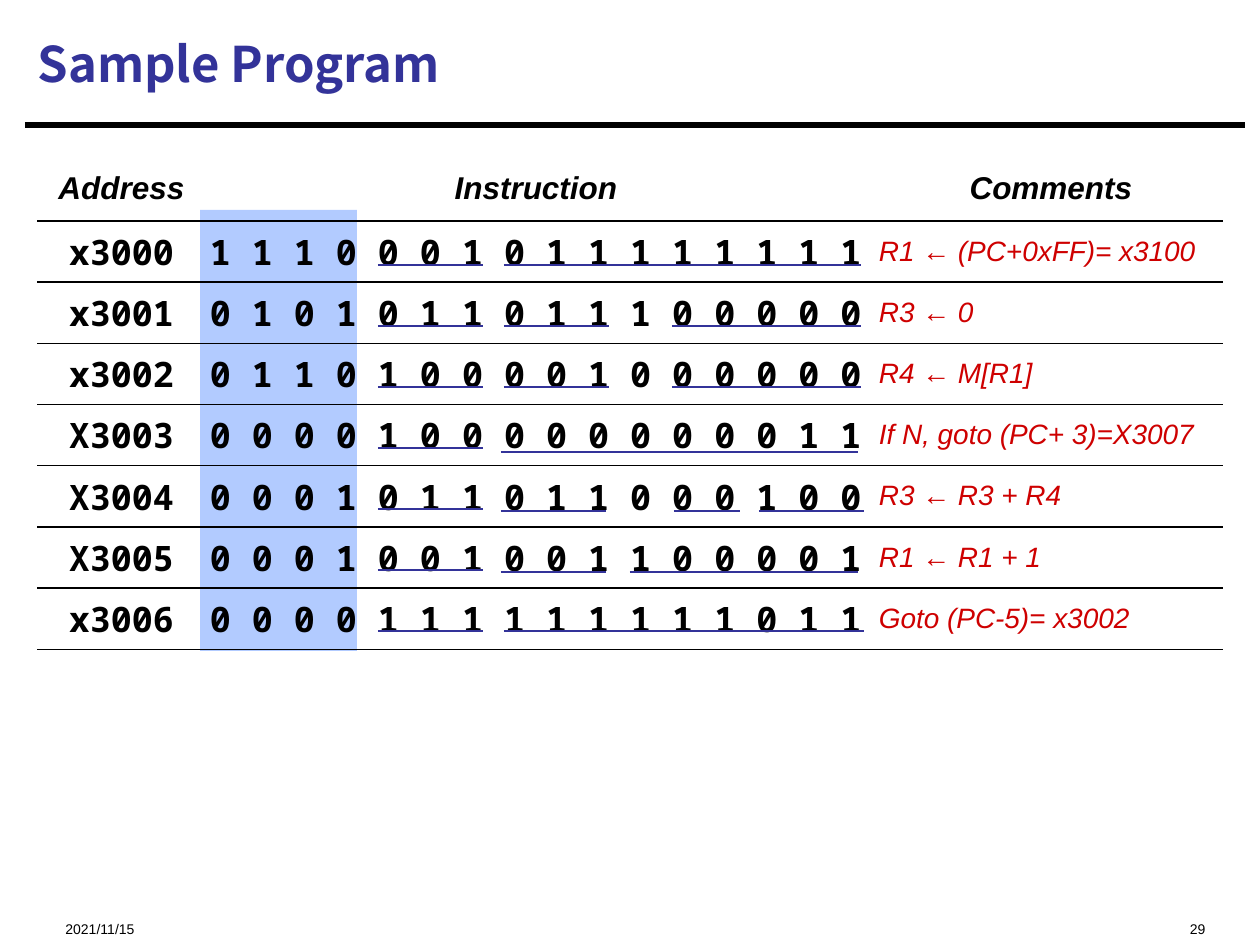
"""Builds the Sample Program slide: a machine code table with its bit fields marked."""
from lxml.etree import SubElement
from pptx import Presentation
from pptx.dml.color import RGBColor
from pptx.enum.shapes import MSO_CONNECTOR as Conn, MSO_SHAPE as Shape
from pptx.enum.text import MSO_ANCHOR as Anchor, PP_ALIGN as Align
from pptx.oxml import parse_xml
from pptx.oxml.ns import nsdecls, qn
from pptx.util import Pt

PX = 914400 // 126
COLORS = {"ink": "000000", "title": "333399", "note": "CE0000", "band": "6699FF"}
PLAIN = "{2D5ABB26-0587-4C30-8999-92F81FD0307C}"
HEADS = ["Address", "Instruction", "Comments"]
CODE = [
    ("x3000", "1 1 1 0 0 0 1 0 1 1 1 1 1 1 1 1", "R1 ← (PC+0xFF)= x3100"),
    ("x3001", "0 1 0 1 0 1 1 0 1 1 1 0 0 0 0 0", "R3 ← 0"),
    ("x3002", "0 1 1 0 1 0 0 0 0 1 0 0 0 0 0 0", "R4 ← M[R1]"),
    ("X3003", "0 0 0 0 1 0 0 0 0 0 0 0 0 0 1 1", "If N, goto (PC+ 3)=X3007"),
    ("X3004", "0 0 0 1 0 1 1 0 1 1 0 0 0 1 0 0", "R3 ← R3 + R4"),
    ("X3005", "0 0 0 1 0 0 1 0 0 1 1 0 0 0 0 1", "R1 ← R1 + 1"),
    ("x3006", "0 0 0 0 1 1 1 1 1 1 1 1 1 0 1 1", "Goto (PC-5)= x3002"),
]
FIELDS = [
    (0, [(504, 861)]),
    (0, [(504, 609), (672, 861)]),
    (0, [(504, 609), (672, 861)]),
    (4, [(501, 858)]),
    (2, [(501, 606), (674, 740), (759, 864)]),
    (2, [(501, 606), (630, 858)]),
    (0, [(504, 864)]),
]


def style(frame, text, font, size, color, align=Align.LEFT, bold=False, slant=False):
    """Put text in a frame and format it."""
    frame.text = text
    para = frame.paragraphs[0]
    para.alignment = align
    face = para.runs[0].font
    face.name, face.size, face.bold, face.italic = font, Pt(size), bold, slant
    face.color.rgb = RGBColor.from_string(COLORS[color])
    props = para.runs[0]._r.get_or_add_rPr()
    for tag in ("a:ea", "a:cs"):
        SubElement(props, qn(tag)).set("typeface", font)


def rule(left, right, top, color, width):
    """Draw a level line."""
    line = slide.shapes.add_connector(Conn.STRAIGHT, left * PX, top * PX, right * PX, top * PX)
    line.line.color.rgb = RGBColor.from_string(COLORS[color])
    line.line.width = Pt(width)
    SubElement(line._element.spPr, qn("a:effectLst"))


prs = Presentation()
prs.slide_width, prs.slide_height = 1260 * PX, 945 * PX
slide = prs.slides.add_slide(prs.slide_layouts[5])

title = slide.shapes.title
title.left, title.top, title.width, title.height = 25 * PX, 10 * PX, 1218 * PX, 106 * PX
title.text_frame.vertical_anchor = Anchor.MIDDLE
style(title.text_frame, "Sample Program", "Noto Sans CJK SC", 28, "title", bold=True)
rule(25, 1245, 125, "ink", 3.75)

for text, left, width, align in [
    ("2021/11/15", 53, 315, Align.LEFT),
    ("29", 840, 378, Align.RIGHT),
]:
    box = slide.shapes.add_textbox(left * PX, 901 * PX, width * PX, 34 * PX)
    frame = box.text_frame
    frame.word_wrap = True
    frame.margin_top, frame.margin_bottom = 22 * PX, 0
    style(frame, text, "Arial", 8, "ink", align)

band = slide.shapes.add_shape(Shape.RECTANGLE, 200 * PX, 210 * PX, 157 * PX, 441 * PX)
band.shadow.inherit = False
band.line.fill.background()
band.fill.solid()
band.fill.fore_color.rgb = RGBColor.from_string(COLORS["band"])
tint = band._element.spPr.find(".//" + qn("a:srgbClr"))
SubElement(tint, qn("a:alpha")).set("val", "50000")

rows = len(CODE) + 1
holder = slide.shapes.add_table(rows, 3, 37 * PX, 157 * PX, 1186 * PX, 490 * PX)
table = holder.table
table.first_row = table.horz_banding = False
table._tbl.tblPr.find(qn("a:tableStyleId")).text = PLAIN
for col, width in zip(table.columns, (156, 673, 357)):
    col.width = width * PX
for row in table.rows:
    row.height = 490 * PX // rows

for r, texts in enumerate([HEADS, *CODE]):
    for c, text in enumerate(texts):
        cell = table.cell(r, c)
        cell.vertical_anchor = Anchor.MIDDLE
        cell.margin_left, cell.margin_right = 13 * PX, 0
        cell.margin_top = cell.margin_bottom = 0 if r else 13 * PX
        cell.fill.background()
        edge = parse_xml(
            f'<a:lnB {nsdecls("a")} w="12700"><a:solidFill>'
            f'<a:srgbClr val="{COLORS["ink"]}"/></a:solidFill></a:lnB>'
        )
        cell._tc.tcPr.insert(0, edge)
        if r == 0:
            style(cell.text_frame, text, "Arial", 18, "ink", Align.CENTER, True, True)
        elif c < 2:
            style(cell.text_frame, text, "Noto Sans Mono", 20, "ink", Align.CENTER, True)
        else:
            style(cell.text_frame, text, "Arial", 16, "note", slant=True)

for r, (drop, spans) in enumerate(FIELDS):
    base = 265 + 61 * r
    rule(378, 483, base, "title", 0.75)
    for left, right in spans:
        rule(left, right, base + drop, "title", 0.75)

prs.save("out.pptx")
